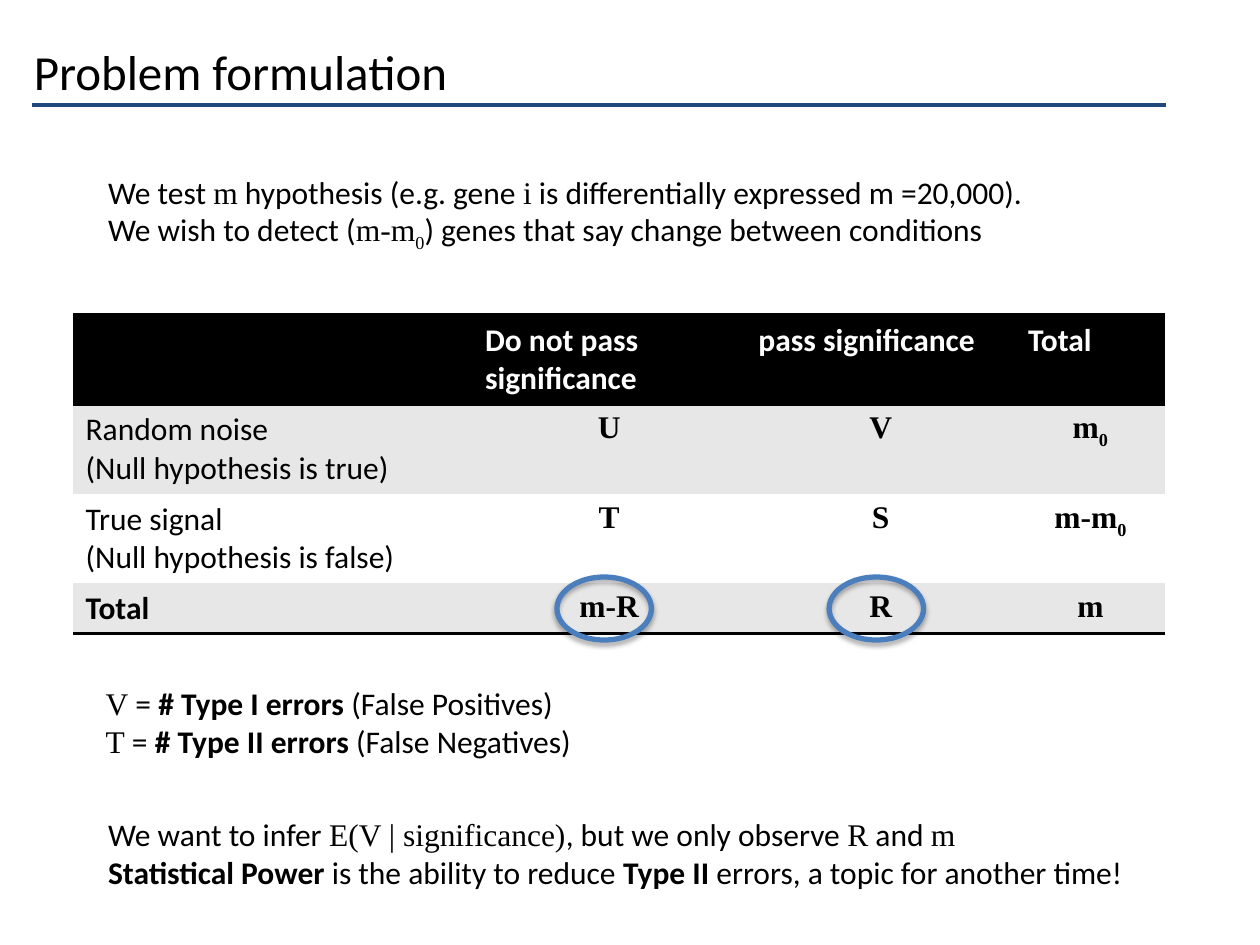
from dataclasses import dataclass

from lxml.etree import SubElement
from pptx import Presentation
from pptx.dml.color import RGBColor
from pptx.enum.shapes import MSO_CONNECTOR, MSO_SHAPE
from pptx.enum.text import MSO_ANCHOR, MSO_AUTO_SIZE, PP_ALIGN
from pptx.oxml import parse_xml
from pptx.oxml.ns import nsdecls, qn
from pptx.util import Inches, Pt


@dataclass(frozen=True)
class Theme:
    text: str = "000000"
    white: str = "FFFFFF"
    band: str = "E7E7E7"
    rule: str = "1F497D"
    ring: str = "4B7EBC"
    font: str = "Calibri"
    math: str = "Times New Roman"
    title_size: int = 28
    body_size: int = 18


# Run kinds: a plain string is body text, a tuple is (text, kind)
def math(text):
    return text, "math"


def bold(text):
    return text, "bold"


def boldmath(text):
    return text, "bold math"


def sub(text, kind="math"):
    return text, kind + " sub"


class Deck:
    def __init__(self, theme):
        self.theme = theme
        self.prs = Presentation()
        self.prs.slide_width, self.prs.slide_height = Inches(10), Inches(7.5)
        self.s = self.prs.slides.add_slide(self.prs.slide_layouts[6])

    def fill_text(self, tf, lines, size=None, color=None, align=PP_ALIGN.LEFT):
        """Fill a text frame; each line is a list of runs."""
        for i, runs in enumerate(lines):
            p = tf.add_paragraph() if i else tf.paragraphs[0]
            p.alignment = align
            p.font.size = Pt(size or self.theme.body_size)
            p.font.color.rgb = RGBColor.from_string(color or self.theme.text)
            runs = [r if isinstance(r, tuple) else (r, "") for r in runs]
            kinds = [kind for _, kind in runs]
            same_face = len({"math" in k for k in kinds}) == 1
            same_weight = len({"bold" in k for k in kinds}) == 1
            for text, kind in runs:
                r = p.add_run()
                r.text = text
                face = p.font if same_face else r.font
                face.name = self.theme.math if "math" in kind else self.theme.font
                weight = p.font if same_weight else r.font
                weight.bold = "bold" in kind
                if "sub" in kind:
                    r.font._element.set("baseline", "-25000")

    def title(self, text, x, y, w, h):
        tf = self.s.shapes.add_textbox(*map(Inches, (x, y, w, h))).text_frame
        tf.word_wrap = True
        tf.vertical_anchor = MSO_ANCHOR.MIDDLE
        self.fill_text(tf, [[text]], self.theme.title_size)

    def text(self, lines, x, y, w, h):
        tf = self.s.shapes.add_textbox(*map(Inches, (x, y, w, h))).text_frame
        tf.word_wrap = False
        tf.auto_size = MSO_AUTO_SIZE.SHAPE_TO_FIT_TEXT
        self.fill_text(tf, lines)

    def rule(self, x1, x2, y):
        c = self.s.shapes.add_connector(
            MSO_CONNECTOR.STRAIGHT, Inches(x1), Inches(y), Inches(x2), Inches(y))
        c.line.color.rgb = RGBColor.from_string(self.theme.rule)
        c.line.width = Pt(2.25)
        SubElement(c._element.spPr, qn("a:effectLst"))

    def ring(self, x, y, w, h):
        sp = self.s.shapes.add_shape(MSO_SHAPE.OVAL, *map(Inches, (x, y, w, h)))
        sp.fill.background()
        sp.line.color.rgb = RGBColor.from_string(self.theme.ring)
        sp.line.width = Pt(3)
        sp._element.spPr.append(parse_xml(
            f'<a:effectLst {nsdecls("a")}><a:outerShdw blurRad="{Pt(3.1)}" '
            f'dist="{Pt(1.8)}" dir="5400000" rotWithShape="0">'
            f'<a:srgbClr val="{self.theme.text}"><a:alpha val="35000"/></a:srgbClr>'
            '</a:outerShdw></a:effectLst>'))

    def border(self, cell, side):
        cell._tc.get_or_add_tcPr().append(parse_xml(
            f'<a:ln{side} {nsdecls("a")} w="{Pt(2)}"><a:solidFill>'
            f'<a:srgbClr val="{self.theme.text}"/></a:solidFill></a:ln{side}>'))

    def table(self, rows, x, y, widths, heights):
        """Draw a table with a black header, grey bands and a closing line."""
        t = self.theme
        frame = self.s.shapes.add_table(
            len(rows), len(widths), Inches(x), Inches(y),
            Inches(sum(widths)), Inches(sum(heights)))
        table = frame.table
        table.horz_banding = False
        style = table._tbl.tblPr.find(qn("a:tableStyleId"))
        style.text = "{2D5ABB26-0587-4C30-8999-92F81FD0307C}"
        for col, w in zip(table.columns, widths):
            col.width = Inches(w)
        for row, h in zip(table.rows, heights):
            row.height = Inches(h)
        for i, row in enumerate(rows):
            header, last = i == 0, i == len(rows) - 1
            fill = t.text if header else t.band if i % 2 else t.white
            for j, lines in enumerate(row):
                cell = table.cell(i, j)
                if header:
                    self.border(cell, "T")
                if header or last:
                    self.border(cell, "B")
                cell.fill.solid()
                cell.fill.fore_color.rgb = RGBColor.from_string(fill)
                centred = not header and j > 0
                self.fill_text(cell.text_frame, lines,
                               color=t.white if header else t.text,
                               align=PP_ALIGN.CENTER if centred else PP_ALIGN.LEFT)


def main():
    deck = Deck(Theme())
    deck.rule(0.25, 9.25, 0.83)
    deck.title("Problem formulation", 0.17, 0.25, 9, 0.62)

    zero = sub("0", "bold math")
    deck.table([
        [[], [[bold("Do not pass significance")]],
         [[bold("pass significance")]], [[bold("Total")]]],
        [[["Random noise"], ["(Null hypothesis is true)"]],
         [[boldmath("U")]], [[boldmath("V")]], [[boldmath("m"), zero]]],
        [[["True signal"], ["(Null hypothesis is false)"]],
         [[boldmath("T")]], [[boldmath("S")]], [[boldmath("m-m"), zero]]],
        [[[bold("Total")]],
         [[boldmath("m-R")]], [[boldmath("R")]], [[boldmath("m")]]],
    ], 0.58, 2.5, [3.17, 2.17, 2.14, 1.19], [0.71, 0.71, 0.71, 0.4])

    deck.text([
        ["We test ", math("m"), " hypothesis (e.g. gene ", math("i"),
         " is differentially expressed m =20,000)."],
        ["We wish to detect (", math("m-m"), sub("0"),
         ") genes that say change between conditions"],
    ], 0.76, 1.32, 7.57, 0.71)

    for x in (4.42, 6.58):
        deck.ring(x, 4.58, 0.75, 0.5)

    deck.text([
        [math("V"), " = ", bold("# Type I errors "), "(False Positives)"],
        [math("T"), " = ", bold("# Type II errors "), "(False Negatives)"],
    ], 0.74, 5.38, 4.23, 0.71)

    deck.text([
        ["We want to infer ", math("E(V | significance)"),
         ", but we only observe ", math("R"), " and ", math("m")],
        [bold("Statistical Power "), "is the ability to reduce ",
         bold("Type II "), "errors, a topic for another time!"],
    ], 0.76, 6.42, 8.74, 0.71)

    deck.prs.save("out.pptx")


if __name__ == "__main__":
    main()
